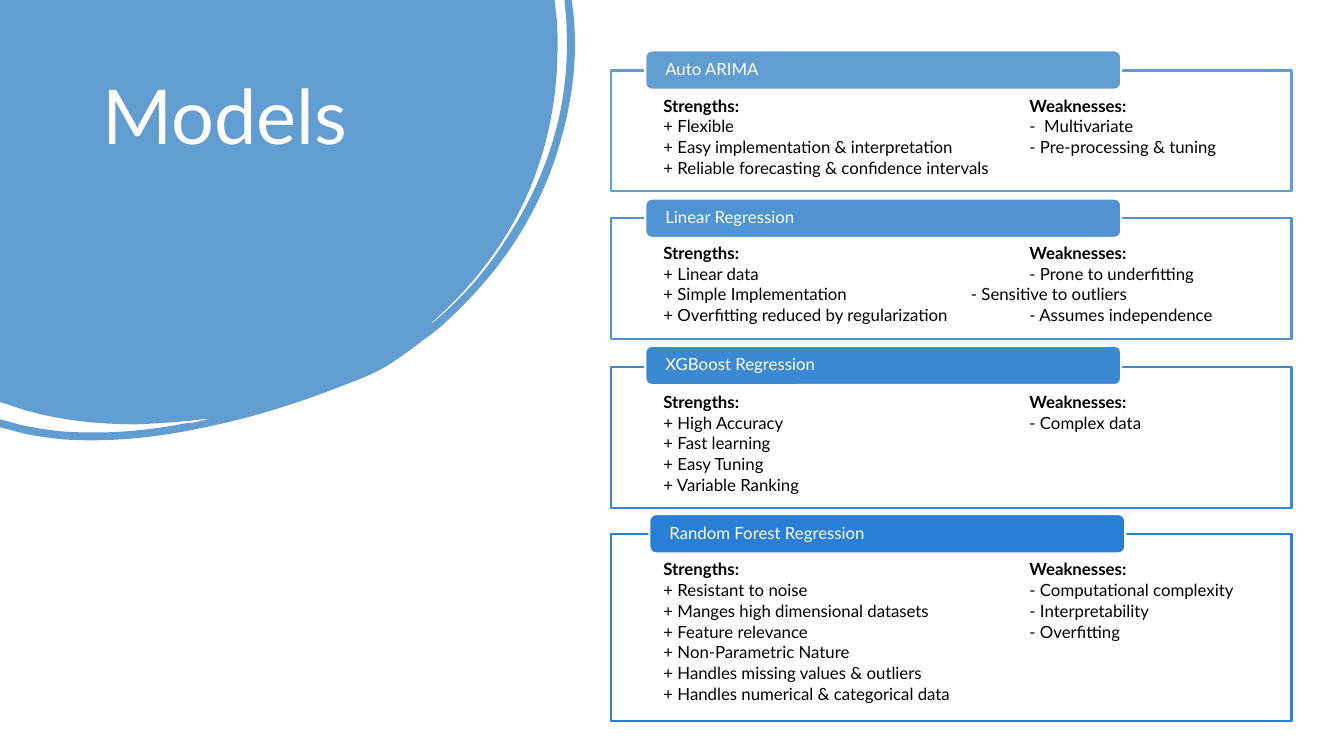
from dataclasses import dataclass

from lxml import etree
from pptx import Presentation
from pptx.dml.color import RGBColor
from pptx.enum.shapes import MSO_SHAPE
from pptx.enum.text import MSO_ANCHOR, PP_ALIGN
from pptx.oxml.ns import qn
from pptx.util import Inches, Pt

RECTANGLE = MSO_SHAPE.RECTANGLE
ROUNDED_RECTANGLE = MSO_SHAPE.ROUNDED_RECTANGLE
TOP = MSO_ANCHOR.TOP
MIDDLE = MSO_ANCHOR.MIDDLE
LEFT = PP_ALIGN.LEFT

WHITE = RGBColor(0xFF, 0xFF, 0xFF)
BLACK = RGBColor(0x00, 0x00, 0x00)
LIGHT_BLUE = RGBColor(0x62, 0x9D, 0xD1)
SOFT_BLUE = RGBColor(0x50, 0x93, 0xD2)
MEDIUM_BLUE = RGBColor(0x3C, 0x89, 0xD3)
STRONG_BLUE = RGBColor(0x29, 0x7F, 0xD5)

FONT_NAME = "Lato"
CARD_LEFT, CARD_WIDTH = 6.06, 6.75
HEADER_WIDTH, HEADER_HEIGHT = 4.72, 0.39
WEAKNESS_TAB = 3.63

BLOB_OUTLINE = [
    (0, 0), (5.5, 0), (5.52, 0.17),
    (5.53, 0.26, 5.53, 0.36, 5.53, 0.45),
    (5.53, 1.01, 5.42, 1.54, 5.18, 2.04),
    (4.96, 2.49, 4.65, 2.88, 4.27, 3.21),
    (4.29, 3.21, 4.3, 3.19, 4.32, 3.18),
    (4.59, 2.95, 4.82, 2.69, 5.01, 2.39),
    (5.43, 1.76, 5.65, 1.07, 5.62, 0.3),
    (5.62, 0.21, 5.61, 0.12, 5.6, 0.03),
    (5.6, 0), (5.67, 0), (5.68, 0.07),
    (5.74, 0.54, 5.68, 1.02, 5.53, 1.5),
    (5.33, 2.14, 4.97, 2.68, 4.48, 3.14),
    (4.39, 3.23, 4.29, 3.31, 4.19, 3.38),
    (4.09, 3.46, 3.99, 3.53, 3.87, 3.61),
    (3.75, 3.69, 3.6, 3.75, 3.44, 3.81),
    (2.99, 3.99, 2.52, 4.14, 2.03, 4.24),
    (1.57, 4.34, 1.1, 4.39, 0.63, 4.36),
    (0.45, 4.34, 0.28, 4.32, 0.12, 4.27),
    (0, 4.24), (0, 4.16), (0.04, 4.17),
    (0.23, 4.23, 0.42, 4.26, 0.61, 4.28),
    (1.03, 4.31, 1.43, 4.28, 1.84, 4.2),
    (1.89, 4.2, 1.93, 4.19, 1.98, 4.18),
    (2.02, 4.17, 2.06, 4.16, 2.1, 4.15),
    (1.86, 4.18, 1.61, 4.2, 1.36, 4.21),
    (0.92, 4.21, 0.48, 4.16, 0.07, 4.01),
    (0, 3.99),
]


@dataclass(frozen=True)
class Row:
    strength: str
    weakness: str = ""
    tab: float = WEAKNESS_TAB


@dataclass(frozen=True)
class Card:
    title: str
    color: RGBColor
    top: float
    height: float
    header_top: float
    rows: list[Row]
    header_left: float = 6.4


CARDS = [
    Card("Auto ARIMA", LIGHT_BLUE, 0.7, 1.2, 0.5, [
        Row("+ Flexible", "-  Multivariate"),
        Row("+ Easy implementation & interpretation", "- Pre-processing & tuning"),
        Row("+ Reliable forecasting & confidence intervals"),
    ]),
    Card("Linear Regression", SOFT_BLUE, 2.16, 1.2, 1.97, [
        Row("+ Linear data", "- Prone to underfitting"),
        Row("+ Simple Implementation", "- Sensitive to outliers", tab=3.05),
        Row("+ Overfitting reduced by regularization", "- Assumes independence"),
    ]),
    Card("XGBoost Regression", MEDIUM_BLUE, 3.64, 1.4, 3.43, [
        Row("+ High Accuracy", "- Complex data"),
        Row("+ Fast learning"),
        Row("+ Easy Tuning"),
        Row("+ Variable Ranking"),
    ]),
    Card("Random Forest Regression", STRONG_BLUE, 5.3, 1.85, 5.1, [
        Row("+ Resistant to noise", "- Computational complexity"),
        Row("+ Manges high dimensional datasets", "- Interpretability"),
        Row("+ Feature relevance", "- Overfitting"),
        Row("+ Non-Parametric Nature"),
        Row("+ Handles missing values & outliers"),
        Row("+ Handles numerical & categorical data"),
    ], header_left=6.44),
]


def set_frame(shape, anchor, left, top, right, bottom) -> None:
    frame = shape.text_frame
    frame.word_wrap = True
    frame.vertical_anchor = anchor
    frame.margin_left, frame.margin_top = Inches(left), Inches(top)
    frame.margin_right, frame.margin_bottom = Inches(right), Inches(bottom)


def write_text(paragraph, text: str, *, size=12, color=BLACK, bold=False,
               space_after=0, tab=None) -> None:
    if tab is not None:
        tab_list = etree.SubElement(paragraph._p.get_or_add_pPr(), qn("a:tabLst"))
        etree.SubElement(tab_list, qn("a:tab"), pos=str(Inches(tab)), algn="l")
    paragraph.alignment = LEFT
    paragraph.line_spacing = 0.9
    paragraph.space_after = Pt(space_after)
    run = paragraph.add_run()
    run.text = text
    run.font.name = FONT_NAME
    run.font.size = Pt(size)
    run.font.bold = bold
    run.font.color.rgb = color


def add_box(slide, kind, left, top, width, height, fill: RGBColor, line: RGBColor):
    shape = slide.shapes.add_shape(
        kind, Inches(left), Inches(top), Inches(width), Inches(height))
    shape.shadow.inherit = False
    shape.fill.solid()
    shape.fill.fore_color.rgb = fill
    shape.line.color.rgb = line
    shape.line.width = Pt(1.5)
    return shape


def set_opacity(shape, percent: int) -> None:
    color = shape._element.spPr.find(qn("a:solidFill"))[0]
    etree.SubElement(color, qn("a:alpha"), val=str(percent * 1000))


def bend_lines(shape, segments) -> None:
    lines = list(shape._element.iter(qn("a:lnTo")))
    for line, segment in zip(lines, segments):
        if len(segment) == 2:
            continue
        curve = etree.Element(qn("a:cubicBezTo"))
        for x, y in zip(segment[::2], segment[1::2]):
            etree.SubElement(curve, qn("a:pt"), x=str(Inches(x)), y=str(Inches(y)))
        line.getparent().replace(line, curve)


def add_blob(slide) -> None:
    corners = [(Inches(segment[-2]), Inches(segment[-1])) for segment in BLOB_OUTLINE]
    builder = slide.shapes.build_freeform(*corners[0])
    builder.add_line_segments(corners[1:], close=True)
    shape = builder.convert_to_shape()
    bend_lines(shape, BLOB_OUTLINE[1:])
    shape.shadow.inherit = False
    shape.fill.solid()
    shape.fill.fore_color.rgb = LIGHT_BLUE
    shape.line.fill.background()


def add_title(slide, text: str) -> None:
    shape = slide.shapes.add_textbox(
        Inches(0.92), Inches(0.74), Inches(3.52), Inches(2.22))
    set_frame(shape, TOP, 0.1, 0.05, 0.1, 0.05)
    write_text(shape.text_frame.paragraphs[0], text, size=54, color=WHITE)


def add_card(slide, card: Card) -> None:
    body = add_box(slide, RECTANGLE, CARD_LEFT, card.top, CARD_WIDTH, card.height,
                   WHITE, card.color)
    set_opacity(body, 90)
    set_frame(body, TOP, 0.52, 0.27, 0.52, 0.09)
    frame = body.text_frame
    for index, row in enumerate([Row("Strengths:", "Weaknesses:"), *card.rows]):
        paragraph = frame.add_paragraph() if index else frame.paragraphs[0]
        text = f"{row.strength}\t{row.weakness}" if row.weakness else row.strength
        write_text(paragraph, text, bold=index == 0, space_after=1.8,
                   tab=row.tab if row.weakness else None)

    header = add_box(slide, ROUNDED_RECTANGLE, card.header_left, card.header_top,
                     HEADER_WIDTH, HEADER_HEIGHT, card.color, WHITE)
    set_frame(header, MIDDLE, 0.18, 0, 0.18, 0)
    write_text(header.text_frame.paragraphs[0], card.title, color=WHITE)


def main() -> None:
    presentation = Presentation()
    presentation.slide_width = Inches(13.33)
    presentation.slide_height = Inches(7.5)
    slide = presentation.slides.add_slide(presentation.slide_layouts[6])
    add_blob(slide)
    add_title(slide, "Models")
    for card in CARDS:
        add_card(slide, card)
    presentation.save("out.pptx")


if __name__ == "__main__":
    main()
